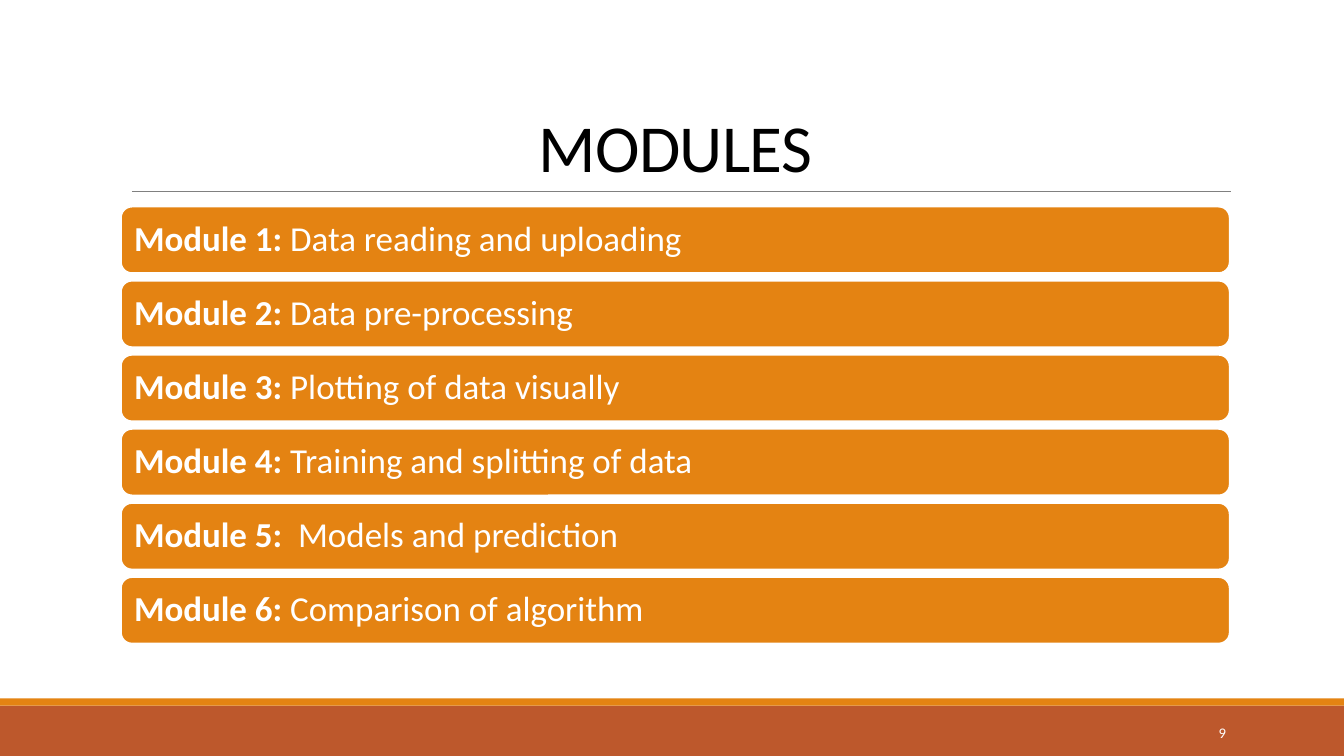
from dataclasses import dataclass

from lxml.etree import SubElement
from pptx import Presentation
from pptx.dml.color import RGBColor
from pptx.enum.shapes import MSO_CONNECTOR, MSO_SHAPE
from pptx.enum.text import MSO_ANCHOR, PP_ALIGN
from pptx.oxml.ns import qn
from pptx.shapes.autoshape import Shape
from pptx.slide import Slide
from pptx.text.text import TextFrame, _Paragraph
from pptx.util import Pt

COLORS = {
    "orange": "E48312",
    "rust": "BD582C",
    "rule": "808080",
    "white": "FFFFFF",
    "black": "000000",
}
FONT = "Calibri"
SLIDE_WIDTH, SLIDE_HEIGHT = 960, 540
CONTENT_LEFT, CONTENT_WIDTH = 86.4, 792
MODULE_TOP, MODULE_HEIGHT, MODULE_PITCH = 147.6, 47.5, 52.92


@dataclass(frozen=True)
class Box:
    left: float
    top: float
    width: float
    height: float

    def lengths(self) -> tuple[Pt, Pt, Pt, Pt]:
        return Pt(self.left), Pt(self.top), Pt(self.width), Pt(self.height)


@dataclass(frozen=True)
class Band:
    box: Box
    color: str


@dataclass(frozen=True)
class Module:
    label: str
    description: str


BANDS = [
    Band(Box(0, 504, SLIDE_WIDTH, 36), "rust"),
    Band(Box(0, 498.8, SLIDE_WIDTH, 5.2), "orange"),
]
MODULES = [
    Module("Module 1: ", "Data reading and uploading"),
    Module("Module 2: ", "Data pre-processing"),
    Module("Module 3: ", "Plotting of data visually"),
    Module("Module 4: ", "Training and splitting of data"),
    Module("Module 5:  ", "Models and prediction"),
    Module("Module 6: ", "Comparison of algorithm"),
]


def rgb(color: str) -> RGBColor:
    return RGBColor.from_string(COLORS[color])


def add_run(paragraph: _Paragraph, text: str, size: float, color: str,
            bold: bool = False, spacing: float = 0) -> None:
    run = paragraph.add_run()
    run.text = text
    run.font.name = FONT
    run.font.size = Pt(size)
    run.font.bold = bold
    run.font.color.rgb = rgb(color)
    if spacing:
        run._r.get_or_add_rPr().set("spc", str(round(spacing * 100)))


def add_filled_shape(slide: Slide, kind: MSO_SHAPE, box: Box, color: str) -> Shape:
    shape = slide.shapes.add_shape(kind, *box.lengths())
    shape.shadow.inherit = False
    shape.fill.solid()
    shape.fill.fore_color.rgb = rgb(color)
    shape.line.fill.background()
    return shape


def add_text_box(slide: Slide, box: Box, anchor: MSO_ANCHOR) -> TextFrame:
    frame = slide.shapes.add_textbox(*box.lengths()).text_frame
    frame.word_wrap = True
    frame.vertical_anchor = anchor
    return frame


def add_title_rule(slide: Slide) -> None:
    rule = slide.shapes.add_connector(
        MSO_CONNECTOR.STRAIGHT, Pt(94.3), Pt(136.8), Pt(879.1), Pt(136.8))
    rule.line.color.rgb = rgb("rule")
    rule.line.width = Pt(0.5)
    SubElement(rule._element.spPr, qn("a:effectLst"))


def add_title(slide: Slide) -> None:
    frame = add_text_box(
        slide, Box(CONTENT_LEFT, 22.6, CONTENT_WIDTH, 114.2), MSO_ANCHOR.BOTTOM)
    paragraph = frame.paragraphs[0]
    paragraph.alignment = PP_ALIGN.CENTER
    paragraph.line_spacing = 0.85
    add_run(paragraph, "MODULES", 48, "black", spacing=-0.5)


def add_module(slide: Slide, module: Module, index: int) -> None:
    top = MODULE_TOP + index * MODULE_PITCH
    box = Box(CONTENT_LEFT, top, CONTENT_WIDTH, MODULE_HEIGHT)
    shape = add_filled_shape(slide, MSO_SHAPE.ROUNDED_RECTANGLE, box, "orange")
    shape.line.color.rgb = rgb("white")
    shape.line.width = Pt(1.25)
    frame = shape.text_frame
    frame.word_wrap = True
    frame.vertical_anchor = MSO_ANCHOR.MIDDLE
    frame.margin_left = frame.margin_right = Pt(7.2)
    frame.margin_top = frame.margin_bottom = Pt(7.2)
    paragraph = frame.paragraphs[0]
    paragraph.alignment = PP_ALIGN.LEFT
    paragraph.line_spacing = 0.9
    add_run(paragraph, module.label, 25, "white", bold=True)
    add_run(paragraph, module.description, 25, "white")


def add_slide_number(slide: Slide) -> None:
    frame = add_text_box(slide, Box(779.8, 508.6, 103, 28.8), MSO_ANCHOR.MIDDLE)
    paragraph = frame.paragraphs[0]
    paragraph.alignment = PP_ALIGN.RIGHT
    add_run(paragraph, "9", 10.5, "white")


def main() -> None:
    presentation = Presentation()
    presentation.slide_width = Pt(SLIDE_WIDTH)
    presentation.slide_height = Pt(SLIDE_HEIGHT)
    slide = presentation.slides.add_slide(presentation.slide_layouts[6])
    for band in BANDS:
        add_filled_shape(slide, MSO_SHAPE.RECTANGLE, band.box, band.color)
    add_title_rule(slide)
    add_title(slide)
    for index, module in enumerate(MODULES):
        add_module(slide, module, index)
    add_slide_number(slide)
    presentation.save("out.pptx")


if __name__ == "__main__":
    main()
